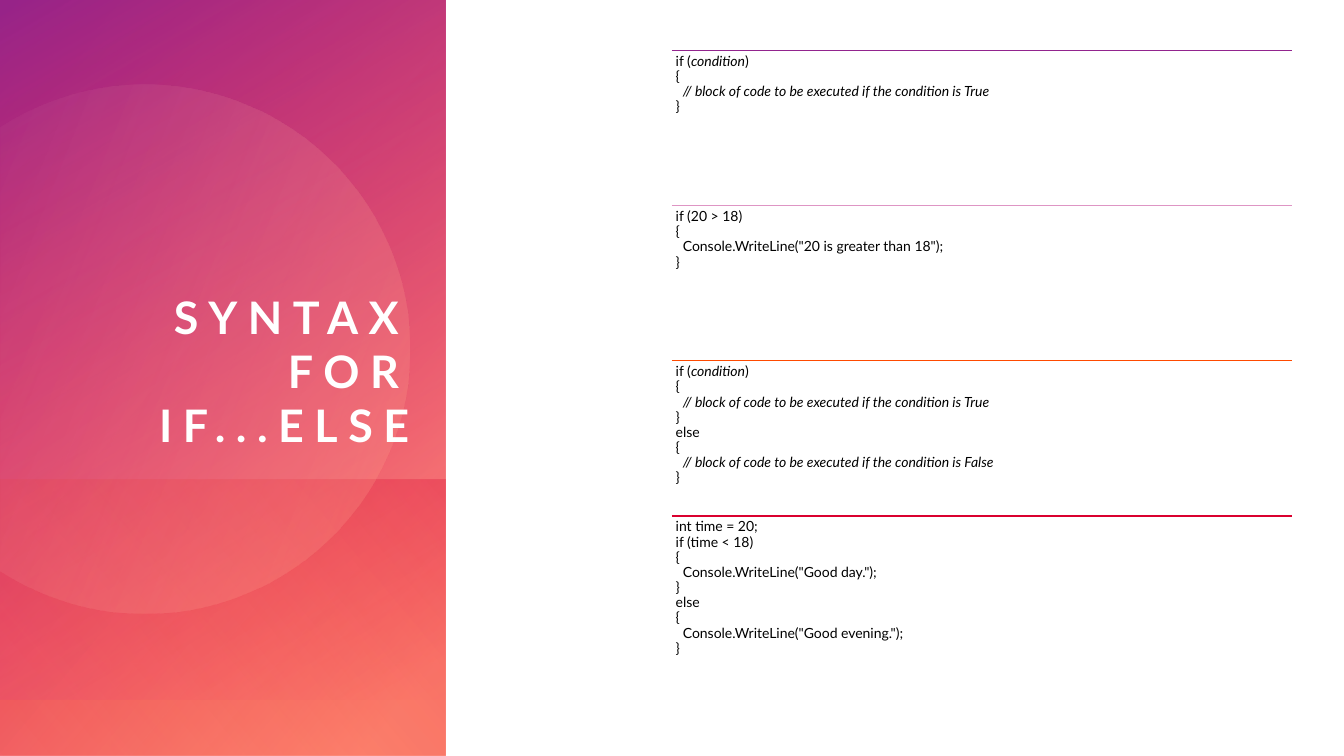
from copy import deepcopy
from dataclasses import dataclass
from math import acos, cos, radians, sin

from lxml.etree import SubElement
from pptx import Presentation
from pptx.dml.color import RGBColor as RGB
from pptx.enum.shapes import MSO_CONNECTOR as CONN, MSO_SHAPE as SHAPE
from pptx.enum.text import MSO_ANCHOR as ANCHOR, MSO_AUTO_SIZE as AUTO, PP_ALIGN as ALIGN
from pptx.oxml.ns import qn
from pptx.shapes.autoshape import Shape
from pptx.slide import Slide
from pptx.util import Cm, Pt


@dataclass(frozen=True)
class Theme:
    font: str = "Lato"
    title_size: float = 32
    title_spacing: float = 7.5
    code_size: float = 10
    rule_width: float = 1
    white: str = "FFFFFF"
    black: str = "000000"
    purple: str = "92248E"
    pink: str = "DE95C4"
    rose: str = "FF5076"
    orange: str = "FE4A00"
    red: str = "DA002F"
    salmon: str = "FF907A"
    peach: str = "FFDBCC"


@dataclass(frozen=True)
class Stop:
    position: int
    color: str
    opacity: int = 100


@dataclass(frozen=True)
class Gradient:
    start: Stop
    end: Stop
    angle: int


@dataclass(frozen=True)
class Panel:
    top: float
    height: float
    gradient: Gradient


@dataclass(frozen=True)
class CodeBlock:
    color: str
    lines: tuple[str, ...]


THEME = Theme()
SLIDE_W, SLIDE_H = 33.87, 19.05
PANEL_W = 11.23
CODE_LEFT, CODE_TOP, CODE_W, CODE_H = 16.93, 1.27, 15.63, 3.91
CODE_INSET = 0.1
CIRCLE_X, CIRCLE_Y, CIRCLE_R = 3.63, 8.81, 6.67
PIVOT_X, PIVOT_Y, CIRCLE_TURN = 4.6, 9.0, 101.6
ARC_STEPS = 120

PANELS = (
    Panel(0, SLIDE_H, Gradient(Stop(8, THEME.salmon), Stop(100, THEME.red, 89), 50)),
    Panel(0, 17.63, Gradient(Stop(0, THEME.rose, 0), Stop(99, THEME.purple, 92), 30)),
    Panel(12.09, 6.96, Gradient(Stop(2, THEME.red, 28), Stop(100, THEME.orange, 0), 130)),
)
CIRCLE_GRADIENT = Gradient(Stop(13, THEME.peach, 2), Stop(100, THEME.salmon, 29), 280)

CODE_BLOCKS = (
    CodeBlock(THEME.purple, (
        "if (*condition*)",
        "{",
        "  *// block of code to be executed if the condition is True*",
        "}",
    )),
    CodeBlock(THEME.pink, (
        "if (20 > 18)",
        "{",
        '  Console.WriteLine("20 is greater than 18");',
        "}",
    )),
    CodeBlock(THEME.orange, (
        "if (*condition*)",
        "{",
        "  *// block of code to be executed if the condition is True*",
        "}",
        "else",
        "{",
        "  *// block of code to be executed if the condition is False*",
        "}",
    )),
    CodeBlock(THEME.red, (
        "int time = 20;",
        "if (time < 18)",
        "{",
        '  Console.WriteLine("Good day.");',
        "}",
        "else",
        "{",
        '  Console.WriteLine("Good evening.");',
        "}",
    )),
)


def paint(sp: Shape, gradient: Gradient) -> None:
    sp.shadow.inherit = False
    sp.line.fill.background()
    sp.fill.gradient()
    sp.fill.gradient_angle = 360 - gradient.angle
    stops = (gradient.start, gradient.end)
    for target, stop in zip(sp.fill.gradient_stops, stops):
        target.position = stop.position / 100
        target.color.rgb = RGB.from_string(stop.color)
    for clr, stop in zip(sp._element.spPr.iter(qn("a:srgbClr")), stops):
        if stop.opacity < 100:
            SubElement(clr, qn("a:alpha")).set("val", str(stop.opacity * 1000))


def draw_panel(s: Slide, panel: Panel) -> None:
    shift = (panel.height - PANEL_W) / 2
    sp = s.shapes.add_shape(SHAPE.RECTANGLE, Cm(-shift), Cm(panel.top + shift),
                            Cm(panel.height), Cm(PANEL_W))
    sp.rotation = 90
    sp._element.spPr.find(qn("a:xfrm")).set("flipH", "1")
    paint(sp, panel.gradient)


def circle_point(angle: float) -> tuple[int, int]:
    dx = CIRCLE_X + CIRCLE_R * cos(angle) - PIVOT_X
    dy = CIRCLE_Y + CIRCLE_R * sin(angle) - PIVOT_Y
    turn = radians(CIRCLE_TURN)
    return (Cm(PIVOT_X + dx * cos(turn) + dy * sin(turn)),
            Cm(PIVOT_Y - dx * sin(turn) + dy * cos(turn)))


def draw_circle(s: Slide) -> None:
    edge = acos(-CIRCLE_X / CIRCLE_R)
    points = [circle_point(edge * (2 * i / ARC_STEPS - 1)) for i in range(ARC_STEPS + 1)]
    builder = s.shapes.build_freeform(*points[0])
    builder.add_line_segments(points[1:], close=True)
    sp = builder.convert_to_shape()
    sp.rotation = CIRCLE_TURN
    paint(sp, CIRCLE_GRADIENT)


def draw_title(s: Slide) -> None:
    title = s.shapes.title
    s.shapes._spTree.append(title._element)
    title.left, title.top, title.width, title.height = Cm(1.32), Cm(1.9), Cm(9), Cm(9.47)
    tf = title.text_frame
    tf.text = "SYNTAX FOR IF...ELSE"
    tf.word_wrap = True
    tf.auto_size = AUTO.NONE
    tf.vertical_anchor = ANCHOR.BOTTOM
    tf.margin_left = tf.margin_right = tf.margin_top = tf.margin_bottom = 0
    p = tf.paragraphs[0]
    p.alignment = ALIGN.RIGHT
    font = p.runs[0].font
    font.name, font.size, font.bold = THEME.font, Pt(THEME.title_size), True
    font.color.rgb = RGB.from_string(THEME.white)
    p.runs[0]._r.get_or_add_rPr().set("spc", str(int(THEME.title_spacing * 100)))


def draw_code(s: Slide, block: CodeBlock, top: float) -> None:
    rule = s.shapes.add_connector(CONN.STRAIGHT, Cm(CODE_LEFT), Cm(top),
                                  Cm(CODE_LEFT + CODE_W), Cm(top))
    rule.line.color.rgb = RGB.from_string(block.color)
    rule.line.width = Pt(THEME.rule_width)
    SubElement(rule._element.spPr, qn("a:effectLst"))

    box = s.shapes.add_textbox(Cm(CODE_LEFT), Cm(top), Cm(CODE_W), Cm(CODE_H))
    tf = box.text_frame
    tf.word_wrap = True
    tf.margin_left = tf.margin_right = tf.margin_top = tf.margin_bottom = Cm(CODE_INSET)
    p = tf.paragraphs[0]
    p.line_spacing = 0.9
    for number, line in enumerate(block.lines):
        if number:
            p.add_line_break()
        for i, part in enumerate(line.split("*")):
            if part:
                r = p.add_run()
                r.text = part
                r.font.name, r.font.size = THEME.font, Pt(THEME.code_size)
                r.font.italic = i % 2 == 1
                r.font.color.rgb = RGB.from_string(THEME.black)
    for br in p._p.findall(qn("a:br")):
        br.append(deepcopy(p.runs[0]._r.rPr))


def main() -> None:
    prs = Presentation()
    prs.slide_width, prs.slide_height = Cm(SLIDE_W), Cm(SLIDE_H)
    s = prs.slides.add_slide(prs.slide_layouts[5])
    for panel in PANELS:
        draw_panel(s, panel)
    draw_circle(s)
    draw_title(s)
    for i, block in enumerate(CODE_BLOCKS):
        draw_code(s, block, CODE_TOP + i * CODE_H)
    prs.save("out.pptx")


if __name__ == "__main__":
    main()
